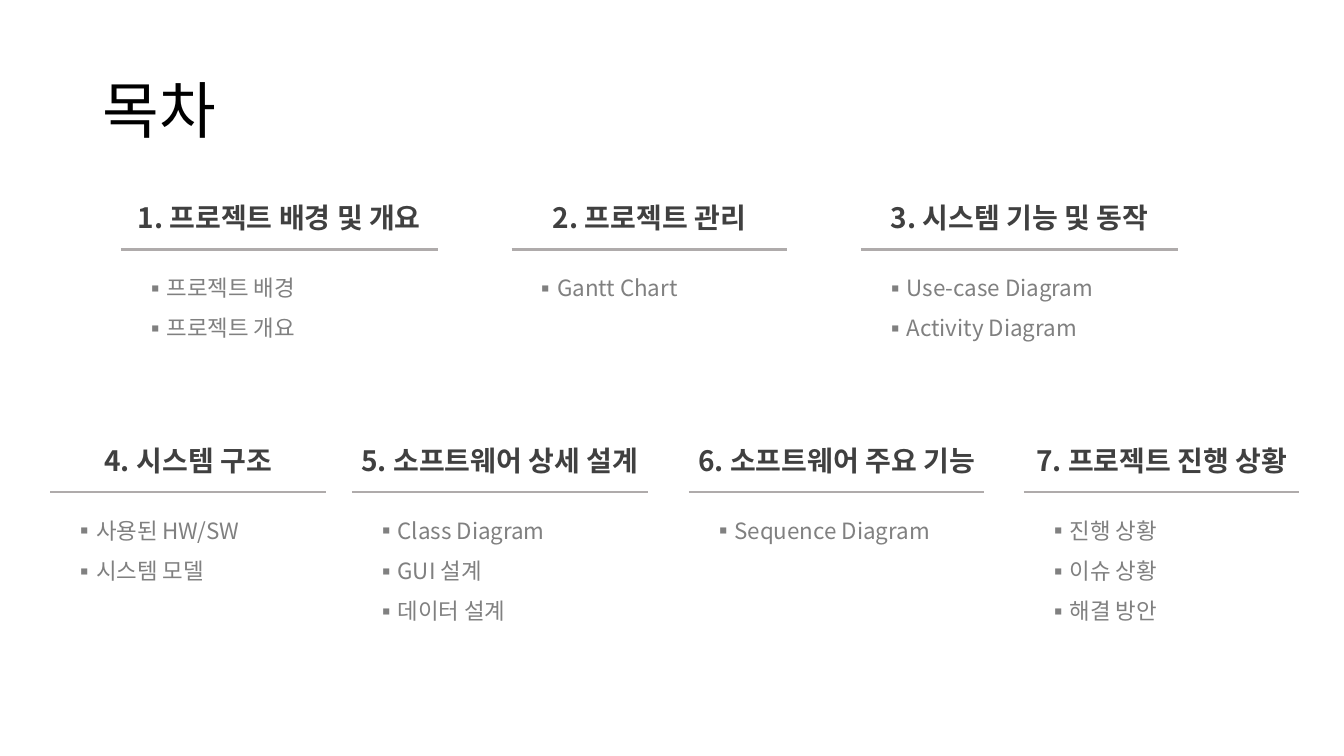
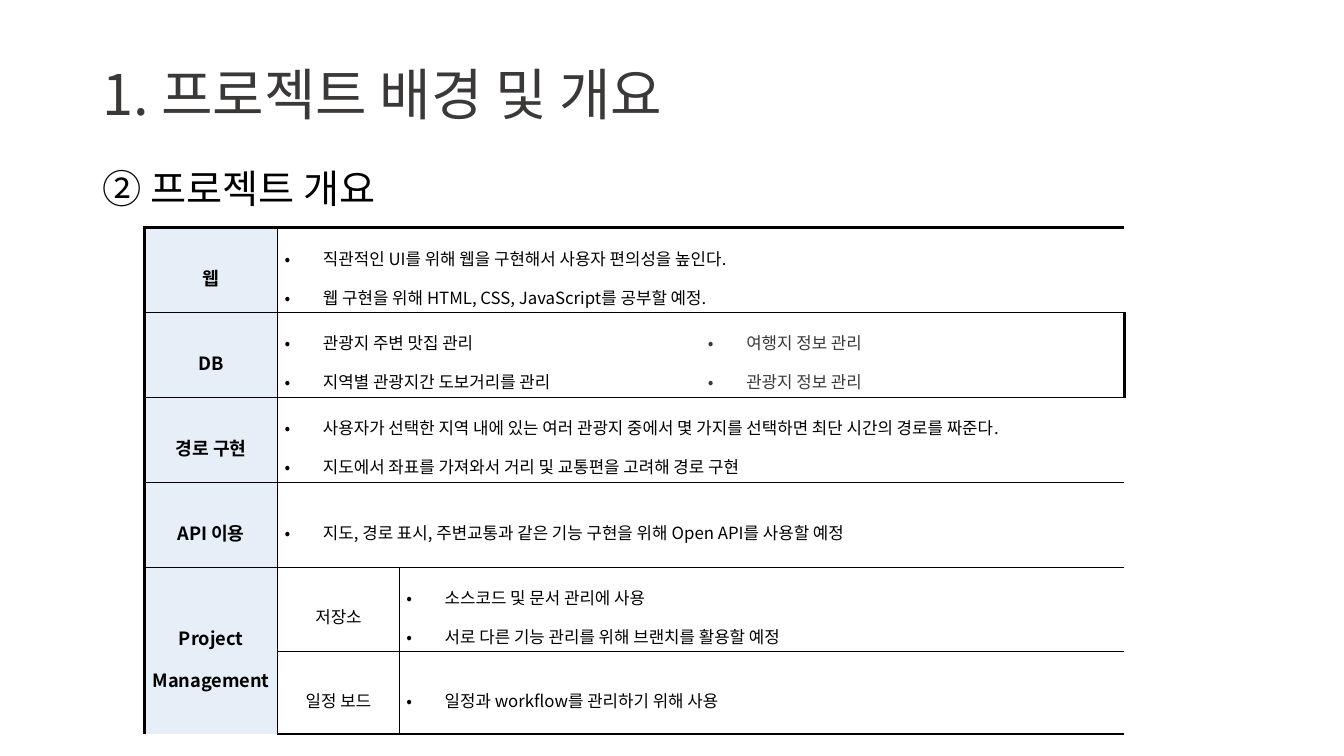
from lxml import etree
from pptx import Presentation
from pptx import util as u
from pptx.dml.color import RGBColor
from pptx.enum import shapes, text
from pptx.oxml import ns

FONT = "Noto Sans CJK KR"
COLORS = {"black": "000000", "dark": "3B3838", "heading": "404040",
          "item": "808080", "rule": "AFABAB", "label": "E6EEF7"}
ALIGN = text.PP_ALIGN
MIDDLE = text.MSO_ANCHOR.MIDDLE

deck = Presentation()
deck.slide_width, deck.slide_height = u.Inches(13.33), u.Inches(7.5)
COL, ROW = deck.slide_width / 160, deck.slide_height / 90
blank = deck.slide_layouts[6]


def write(frame, lines, size, color="black", bold=False, align=ALIGN.LEFT,
          spacing=1.0, bullet=None, indent=0):
    for index, line in enumerate(lines):
        para = frame.add_paragraph() if index else frame.paragraphs[0]
        para.text = line
        para.alignment = align
        para.line_spacing = spacing
        props = para._p.get_or_add_pPr()
        if bullet:
            props.set("marL", str(u.Inches(indent)))
            props.set("indent", str(-u.Inches(indent)))
            etree.SubElement(props, ns.qn("a:buFont"), typeface=FONT)
            etree.SubElement(props, ns.qn("a:buChar"), char=bullet)
        para.font.size = u.Pt(size)
        para.font.bold = bold
        para.font.name = FONT
        para.font.color.rgb = RGBColor.from_string(COLORS[color])
        defaults = props.find(ns.qn("a:defRPr"))
        etree.SubElement(defaults, ns.qn("a:ea"), typeface=FONT)


def add_text(parent, left, top, width, height, lines, anchor=MIDDLE, **style):
    box = parent.add_textbox(int(left * COL), int(top * ROW),
                             int(width * COL), int(height * ROW))
    box.text_frame.word_wrap = True
    box.text_frame.vertical_anchor = anchor
    write(box.text_frame, lines, **style)


TITLE = {"left": 11, "width": 138, "spacing": 0.9}
HEADING = {"size": 20, "color": "heading", "bold": True, "align": ALIGN.CENTER}
ITEMS = {"size": 16, "color": "item", "spacing": 1.5, "bullet": "▪", "indent": 0.2}

page = deck.slides.add_slide(blank)
add_text(page.shapes, top=4.8, height=17.4, lines=["목차"], size=44, **TITLE)

contents = [
    (29.7, [
        (14.4, 37.7, "1. 프로젝트 배경 및 개요", ["프로젝트 배경", "프로젝트 개요"]),
        (60.9, 32.8, "2. 프로젝트 관리", ["Gantt Chart"]),
        (102.5, 37.7, "3. 시스템 기능 및 동작", ["Use-case Diagram", "Activity Diagram"]),
    ]),
    (58.6, [
        (6, 32.8, "4. 시스템 구조", ["사용된 HW/SW", "시스템 모델"]),
        (41.9, 35.2, "5. 소프트웨어 상세 설계", ["Class Diagram", "GUI 설계", "데이터 설계"]),
        (82, 35.2, "6. 소프트웨어 주요 기능", ["Sequence Diagram"]),
        (121.9, 32.8, "7. 프로젝트 진행 상황", ["진행 상황", "이슈 상황", "해결 방안"]),
    ]),
]
for rule_top, sections in contents:
    for left, width, heading, items in sections:
        section = page.shapes.add_group_shape().shapes
        y = int(rule_top * ROW)
        rule = section.add_connector(shapes.MSO_CONNECTOR.STRAIGHT, int(left * COL), y,
                                     int((left + width) * COL), y)
        rule.line.color.rgb = RGBColor.from_string(COLORS["rule"])
        rule.line.width = u.Pt(1.5)
        etree.SubElement(rule._element.spPr, ns.qn("a:effectLst"))
        add_text(section, left - 3, rule_top - 6.4, width + 6, 5.3, [heading],
                 text.MSO_ANCHOR.TOP, **HEADING)
        add_text(section, left + 1.6, rule_top + 0.75, width - 3.2, 0.6 + 4.9 * len(items),
                 items, text.MSO_ANCHOR.TOP, **ITEMS)

page = deck.slides.add_slide(blank)
add_text(page.shapes, top=5.3, height=12.5, lines=["1. 프로젝트 배경 및 개요"],
         size=40, color="dark", **TITLE)
add_text(page.shapes, 11, 19, 38.4, 6.8, ["② 프로젝트 개요"], size=28)

column_widths = [15.85, 14.5, 35.9, 50.4]
row_heights = [10.1] * 5 + [9.8]
last_row, last_column = len(row_heights), len(column_widths)
overview = page.shapes.add_table(last_row, last_column, int(17.2 * COL), int(27.1 * ROW),
                                 int(sum(column_widths) * COL),
                                 int(sum(row_heights) * ROW)).table
overview.first_row = overview.horz_banding = False
for column, width in zip(overview.columns, column_widths):
    column.width = int(width * COL)
for row, height in zip(overview.rows, row_heights):
    row.height = int(height * ROW)

LABEL = {"size": 13, "bold": True, "align": ALIGN.CENTER, "spacing": 1.6}
TOOL = {"size": 12, "align": ALIGN.CENTER, "spacing": 1.6}
DETAIL = {"size": 12, "align": ALIGN.JUSTIFY, "spacing": 1.6, "bullet": "•", "indent": 0.38}
blocks = [
    (0, 0, 1, 1, LABEL, ["웹"]),
    (0, 1, 1, 3, DETAIL, ["직관적인 UI를 위해 웹을 구현해서 사용자 편의성을 높인다.",
                          "웹 구현을 위해 HTML, CSS, JavaScript를 공부할 예정."]),
    (1, 0, 1, 1, LABEL, ["DB"]),
    (1, 1, 1, 2, DETAIL, ["관광지 주변 맛집 관리", "지역별 관광지간 도보거리를 관리"]),
    (1, 3, 1, 1, {**DETAIL, "color": "dark"}, ["여행지 정보 관리", "관광지 정보 관리"]),
    (2, 0, 1, 1, LABEL, ["경로 구현"]),
    (2, 1, 1, 3, DETAIL, ["사용자가 선택한 지역 내에 있는 여러 관광지 중에서 몇 가지를 선택하면 최단 시간의 경로를 짜준다.",
                          "지도에서 좌표를 가져와서 거리 및 교통편을 고려해 경로 구현"]),
    (3, 0, 1, 1, LABEL, ["API 이용"]),
    (3, 1, 1, 3, DETAIL, ["지도, 경로 표시, 주변교통과 같은 기능 구현을 위해 Open API를 사용할 예정"]),
    (4, 0, 2, 1, LABEL, ["Project Management"]),
    (4, 1, 1, 1, TOOL, ["저장소"]),
    (4, 2, 1, 2, DETAIL, ["소스코드 및 문서 관리에 사용", "서로 다른 기능 관리를 위해 브랜치를 활용할 예정"]),
    (5, 1, 1, 1, TOOL, ["일정 보드"]),
    (5, 2, 1, 2, DETAIL, ["일정과 workflow를 관리하기 위해 사용"]),
]
open_edge = (1, 3)
for top, left, height, width, style, lines in blocks:
    bottom, right = top + height, left + width
    for r in range(top, bottom):
        for c in range(left, right):
            cell = overview.cell(r, c)
            cell.margin_left = cell.margin_right = u.Inches(0.07)
            cell.margin_top = cell.margin_bottom = u.Inches(0.02)
            cell.vertical_anchor = MIDDLE
            edges = [
                ("a:lnL", c == left and (r, c) != open_edge, c == 0),
                ("a:lnR", c + 1 == right and (r, c + 1) != open_edge, c + 1 == last_column),
                ("a:lnT", r == top, r == 0),
                ("a:lnB", r + 1 == bottom, r + 1 == last_row),
            ]
            for tag, drawn, outer in edges:
                border = etree.SubElement(cell._tc.get_or_add_tcPr(), ns.qn(tag),
                                          w=str(u.Pt(2 if outer else 0.28)))
                if drawn:
                    fill = etree.SubElement(border, ns.qn("a:solidFill"))
                    etree.SubElement(fill, ns.qn("a:srgbClr"), val=COLORS["black"])
                else:
                    etree.SubElement(border, ns.qn("a:noFill"))
            if style is LABEL:
                cell.fill.solid()
                cell.fill.fore_color.rgb = RGBColor.from_string(COLORS["label"])
            else:
                cell.fill.background()
    if height * width > 1:
        overview.cell(top, left).merge(overview.cell(bottom - 1, right - 1))
    write(overview.cell(top, left).text_frame, lines, **style)

deck.save("out.pptx")
